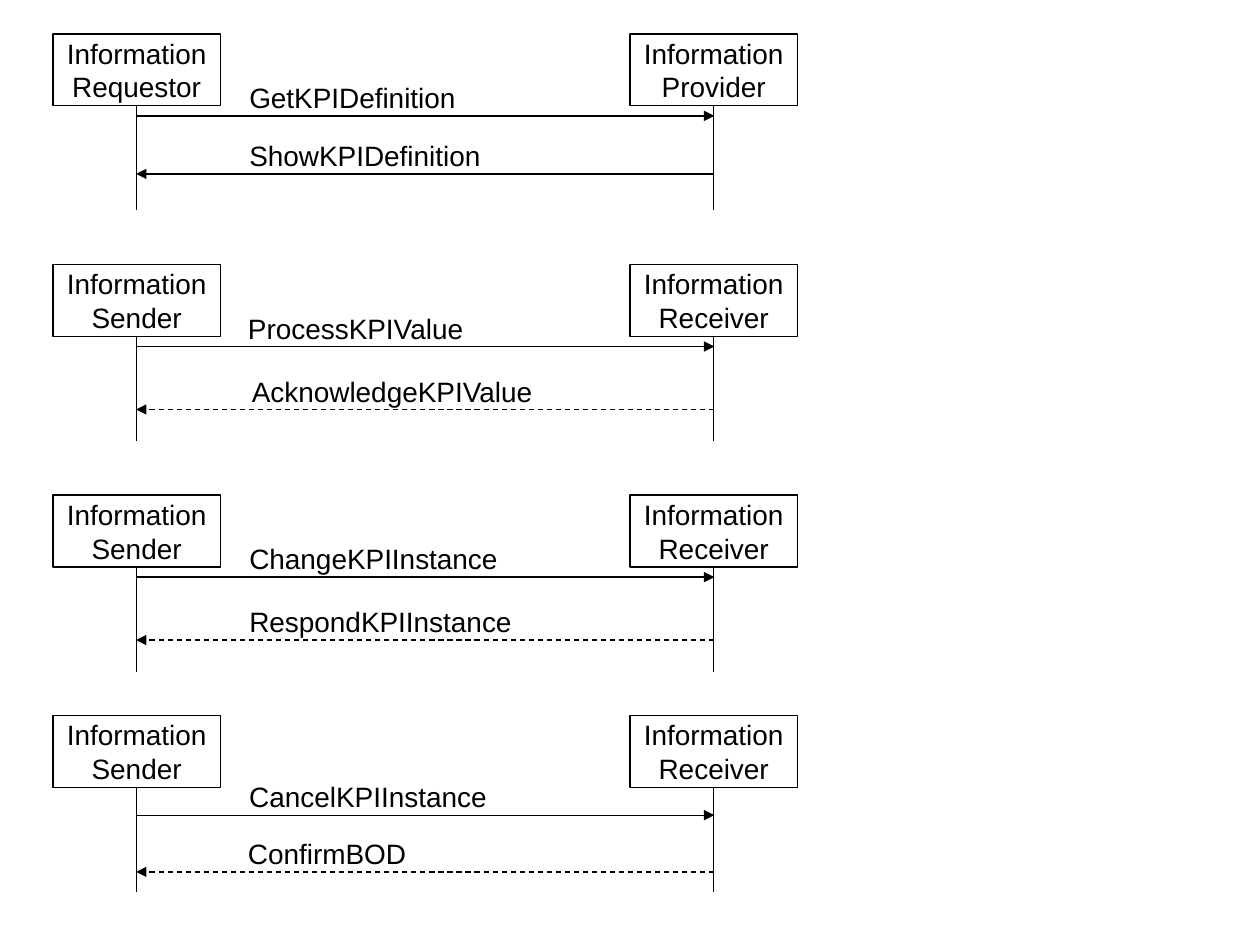
from lxml import etree
from pptx import Presentation
from pptx.dml.color import RGBColor
from pptx.enum.dml import MSO_LINE
from pptx.enum.shapes import MSO_CONNECTOR, MSO_SHAPE
from pptx.enum.text import MSO_ANCHOR, MSO_AUTO_SIZE, PP_ALIGN
from pptx.oxml.ns import qn
from pptx.util import Inches, Pt

RECT = MSO_SHAPE.RECTANGLE
STRAIGHT = MSO_CONNECTOR.STRAIGHT
DASH = MSO_LINE.DASH
MIDDLE = MSO_ANCHOR.MIDDLE
CENTER, LEFT = PP_ALIGN.CENTER, PP_ALIGN.LEFT
FIT, FIXED = MSO_AUTO_SIZE.SHAPE_TO_FIT_TEXT, MSO_AUTO_SIZE.NONE

rgb = RGBColor.from_string
BLACK, WHITE = "000000", "FFFFFF"
FONT = {"name": "Arial", "size": Pt(16)}
BOX_W, BOX_H = 1.33, 0.57
LEFT_X, RIGHT_X = 0.42, 5
LIFE_L, LIFE_R = 1.08, 5.67
LIFE_H = 0.83
LABEL_H, LABEL_RISE = 0.37, 0.33

exchanges = [
    (0.27, "Requestor", "Provider",
     ("GetKPIDefinition", 1.88, 1.85, 0.92),
     ("ShowKPIDefinition", 1.88, 2.05, 1.38), False),
    (2.1, "Sender", "Receiver",
     ("ProcessKPIValue", 1.87, 1.93, 2.75),
     ("AcknowledgeKPIValue", 1.9, 2.45, 3.25), True),
    (3.93, "Sender", "Receiver",
     ("ChangeKPIInstance", 1.88, 2.18, 4.58),
     ("RespondKPIInstance", 1.88, 2.29, 5.08), True),
    (5.68, "Sender", "Receiver",
     ("CancelKPIInstance", 1.88, 2.1, 6.47),
     ("ConfirmBOD", 1.87, 1.47, 6.92), True),
]


def write(shape, lines, align, fit):
    tf = shape.text_frame
    tf.word_wrap = False
    tf.auto_size = fit
    for i, line in enumerate(lines):
        p = tf.add_paragraph() if i else tf.paragraphs[0]
        p.alignment = align
        r = p.add_run()
        r.text = line
        for key, value in FONT.items():
            setattr(r.font, key, value)
        r.font.color.rgb = rgb(BLACK)


def connect(x1, y1, x2, y2):
    c = s.shapes.add_connector(STRAIGHT, Inches(x1), Inches(y1), Inches(x2), Inches(y2))
    c.line.color.rgb = rgb(BLACK)
    c.line.width = Pt(0.75)
    etree.SubElement(c._element.spPr, qn("a:effectLst"))
    return c


prs = Presentation()
prs.slide_width, prs.slide_height = Inches(10), Inches(7.5)
s = prs.slides.add_slide(prs.slide_layouts[6])

for top, left_role, right_role, request, reply, optional in exchanges:
    for x, life_x, role in ((RIGHT_X, LIFE_R, right_role), (LEFT_X, LIFE_L, left_role)):
        box = s.shapes.add_shape(RECT, Inches(x), Inches(top), Inches(BOX_W), Inches(BOX_H))
        box.shadow.inherit = False
        box.fill.solid()
        box.fill.fore_color.rgb = rgb(WHITE)
        box.line.color.rgb = rgb(BLACK)
        box.line.width = Pt(0.75)
        box.text_frame.vertical_anchor = MIDDLE
        write(box, ["Information", role], CENTER, FIXED)
        bottom = top + BOX_H
        life = connect(life_x, bottom, life_x, bottom + LIFE_H)
        life.begin_connect(box, 2)
        life.end_x = life.begin_x

    for message, x1, x2 in ((request, LIFE_L, LIFE_R), (reply, LIFE_R, LIFE_L)):
        name, x, width, y = message
        label = s.shapes.add_textbox(Inches(x), Inches(y - LABEL_RISE), Inches(width), Inches(LABEL_H))
        write(label, [name], LEFT, FIT)
        arrow = connect(x1, y, x2, y)
        if optional and message is reply:
            arrow.line.dash_style = DASH
        ln = arrow.line._get_or_add_ln()
        etree.SubElement(ln, qn("a:tailEnd"), type="triangle")

prs.save("out.pptx")
